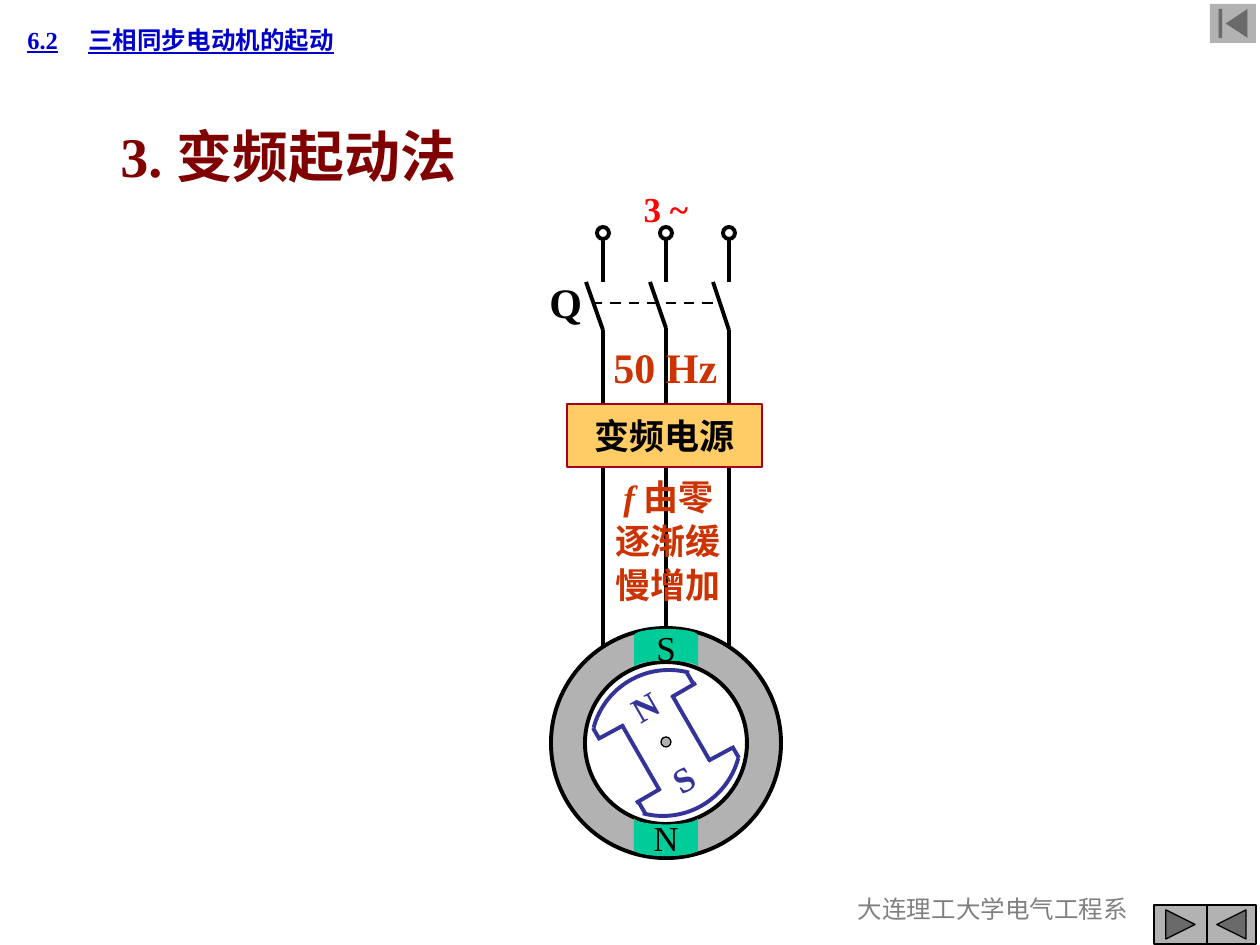
"""Build the slide on variable-frequency starting of a synchronous motor."""
from math import cos, radians, sin

from lxml.etree import SubElement
from pptx import Presentation
from pptx.dml.color import RGBColor
from pptx.enum.dml import MSO_LINE
from pptx.enum.shapes import MSO_CONNECTOR, MSO_SHAPE as SHAPE
from pptx.enum.text import MSO_ANCHOR as ANCHOR, PP_ALIGN as ALIGN
from pptx.oxml.ns import qn
from pptx.util import Pt

PX = 914400 / 126
FONT = "Times New Roman"
COLORS = {
    "black": "000000", "white": "FFFFFF", "footer": "808080", "title": "800000",
    "phase": "FF0000", "source": "FFCC66", "source_edge": "A50021",
    "note": "CC3300", "steel": "B2B2B2", "rotor": "333399", "pole": "00CC99",
    "heading": "0000CC",
}

FOOTER = "大连理工大学电气工程系"
TITLE = "3. 变频起动法"
HEADING = "6.2\t三相同步电动机的起动"
HEADING_TAB = 61
FREQUENCY = [[("f ", True), ("由零", False)], "逐渐缓", "慢增加"]

CENTER = (666, 743)
PHASES = [(603, 586, 330, 658), (666, 650, 328, 633), (729, 713, 330, 654)]
TERMINAL_Y, SWITCH_Y = 233, 282
STATOR_R, BORE_R = 115, 81
ARC = {"center": (669, 748), "radius": 78, "start": 195, "end": 285}
ROTOR_EDGES = [
    ((622, 725), (660, 791)),
    ((600, 738), (624, 725)),
    ((672, 697), (696, 683)),
    ((687, 673), (694, 685)),
    ((593, 728), (600, 740)),
]
POLES = [("S", 648, 90, "vert270"), ("N", 837, 270, "vert")]
BUTTONS = [
    (SHAPE.ACTION_BUTTON_FORWARD_OR_NEXT, (1154, 905, 53, 39), "black"),
    (SHAPE.ACTION_BUTTON_BACK_OR_PREVIOUS, (1207, 905, 49, 39), "black"),
    (SHAPE.ACTION_BUTTON_BEGINNING, (1210, 4, 46, 39), None),
]


def emu(*values):
    return [round(v * PX) for v in values]


def rgb(name):
    return RGBColor.from_string(COLORS[name])


def outline(sp, color, width):
    if color:
        sp.line.color.rgb = rgb(color)
        sp.line.width = Pt(width)
    else:
        sp.line.fill.background()


def line(s, start, end, color="black", width=2.25):
    cn = s.shapes.add_connector(MSO_CONNECTOR.STRAIGHT, *emu(*start, *end))
    outline(cn, color, width)
    SubElement(cn._element.spPr, qn("a:effectLst"))
    return cn


def shape(s, kind, box, fill, edge=None, width=2.25):
    sp = s.shapes.add_shape(kind, *emu(*box))
    sp.shadow.inherit = False
    sp.fill.solid()
    sp.fill.fore_color.rgb = rgb(fill)
    outline(sp, edge, width)
    return sp


def write(tf, paragraphs, size, color, bold=True, align=ALIGN.LEFT, before=0):
    for i, content in enumerate(paragraphs):
        p = tf.add_paragraph() if i else tf.paragraphs[0]
        p.alignment = align
        if i:
            p.space_before = Pt(before)
        p.font.name, p.font.size, p.font.bold = FONT, Pt(size), bold
        p.font.color.rgb = rgb(color)
        runs = [(content, False)] if isinstance(content, str) else content
        for text, italic in runs:
            r = p.add_run()
            r.text = text
            r.font.italic = italic


def label(s, box, paragraphs, size, color, **style):
    tb = s.shapes.add_textbox(*emu(*box))
    tb.text_frame.word_wrap = True
    write(tb.text_frame, paragraphs, size, color, **style)
    return tb


def opposite(point):
    return tuple(2 * c - v for c, v in zip(CENTER, point))


def arc_points():
    (cx, cy), radius = ARC["center"], ARC["radius"]
    angles = [radians(a) for a in range(ARC["start"], ARC["end"] + 1, 3)]
    return [(cx + radius * cos(a), cy + radius * sin(a)) for a in angles]


def curve(s, points):
    path = [tuple(emu(*pt)) for pt in points]
    fb = s.shapes.build_freeform(*path[0])
    fb.add_line_segments(path[1:], close=False)
    sp = fb.convert_to_shape()
    sp.shadow.inherit = False
    sp.fill.background()
    outline(sp, "rotor", 2.25)


def supply(s):
    for x, _, joint, bottom in PHASES:
        line(s, (x, joint), (x, bottom))
    label(s, (603, 181, 126, 56), ["3 ~"], 20, "phase", align=ALIGN.CENTER)
    for x, blade, joint, _ in PHASES:
        shape(s, SHAPE.OVAL, (x - 6, TERMINAL_Y - 6, 12, 12), "white", "black")
        line(s, (x, TERMINAL_Y + 6), (x, SWITCH_Y))
        line(s, (blade, SWITCH_Y), (x, joint))
    line(s, (592, 303), (719, 303), width=1.5).line.dash_style = MSO_LINE.DASH
    sp = shape(s, SHAPE.RECTANGLE, (567, 404, 195, 63), "source", "source_edge", 0.75)
    sp.text_frame.vertical_anchor = ANCHOR.MIDDLE
    write(sp.text_frame, ["变频电源"], 20, "black", align=ALIGN.CENTER)
    label(s, (537, 270, 49, 113), ["Q"], 24, "black")
    label(s, (596, 469, 145, 142), FREQUENCY, 20, "note", align=ALIGN.CENTER, before=1.2)
    label(s, (601, 335, 147, 63), ["50 Hz"], 24, "note")


def motor(s):
    cx, cy = CENTER
    size = 2 * STATOR_R
    sp = shape(s, SHAPE.DONUT, (cx - STATOR_R, cy - STATOR_R, size, size), "steel", "black")
    sp.adjustments[0] = (STATOR_R - BORE_R) / size
    arc = arc_points()
    curve(s, arc)
    curve(s, [opposite(pt) for pt in arc])
    for start, end in ROTOR_EDGES:
        line(s, start, end, "rotor")
        line(s, opposite(start), opposite(end), "rotor")
    label(s, (641, 674, 45, 139), ["N", "S"], 20, "rotor", before=23).rotation = 330
    shape(s, SHAPE.OVAL, (cx - 5, cy - 6, 10, 10), "steel", "black", 0.75)
    for text, y, rotation, direction in POLES:
        sp = shape(s, SHAPE.FLOWCHART_STORED_DATA, (cx - 19, y - 32, 38, 64), "pole")
        sp.rotation = rotation
        tf = sp.text_frame
        tf.margin_left = tf.margin_right = tf.margin_top = tf.margin_bottom = 0
        tf.word_wrap = False
        tf.vertical_anchor = ANCHOR.MIDDLE
        tf._txBody.bodyPr.set("vert", direction)
        write(tf, [text], 20, "black", bold=False, align=ALIGN.CENTER)


def heading(s):
    tb = label(s, (15, 18, 402, 43), [], 14, "heading")
    tf = tb.text_frame
    tf.vertical_anchor = ANCHOR.MIDDLE
    tabs = SubElement(tf.paragraphs[0]._p.get_or_add_pPr(), qn("a:tabLst"))
    SubElement(tabs, qn("a:tab"), pos=str(emu(HEADING_TAB)[0]), algn="l")
    write(tf, [HEADING], 14, "heading")
    tf.paragraphs[0].font.underline = True


def main():
    prs = Presentation()
    prs.slide_width, prs.slide_height = emu(1260, 945)
    s = prs.slides.add_slide(prs.slide_layouts[6])
    label(s, (756, 888, 474, 63), [FOOTER], 14, "footer", bold=False, align=ALIGN.CENTER)
    label(s, (108, 115, 548, 81), [TITLE], 32, "title")
    supply(s)
    motor(s)
    heading(s)
    for kind, box, edge in BUTTONS:
        shape(s, kind, box, "steel", edge, 0.75)
    prs.save("out.pptx")


if __name__ == "__main__":
    main()
